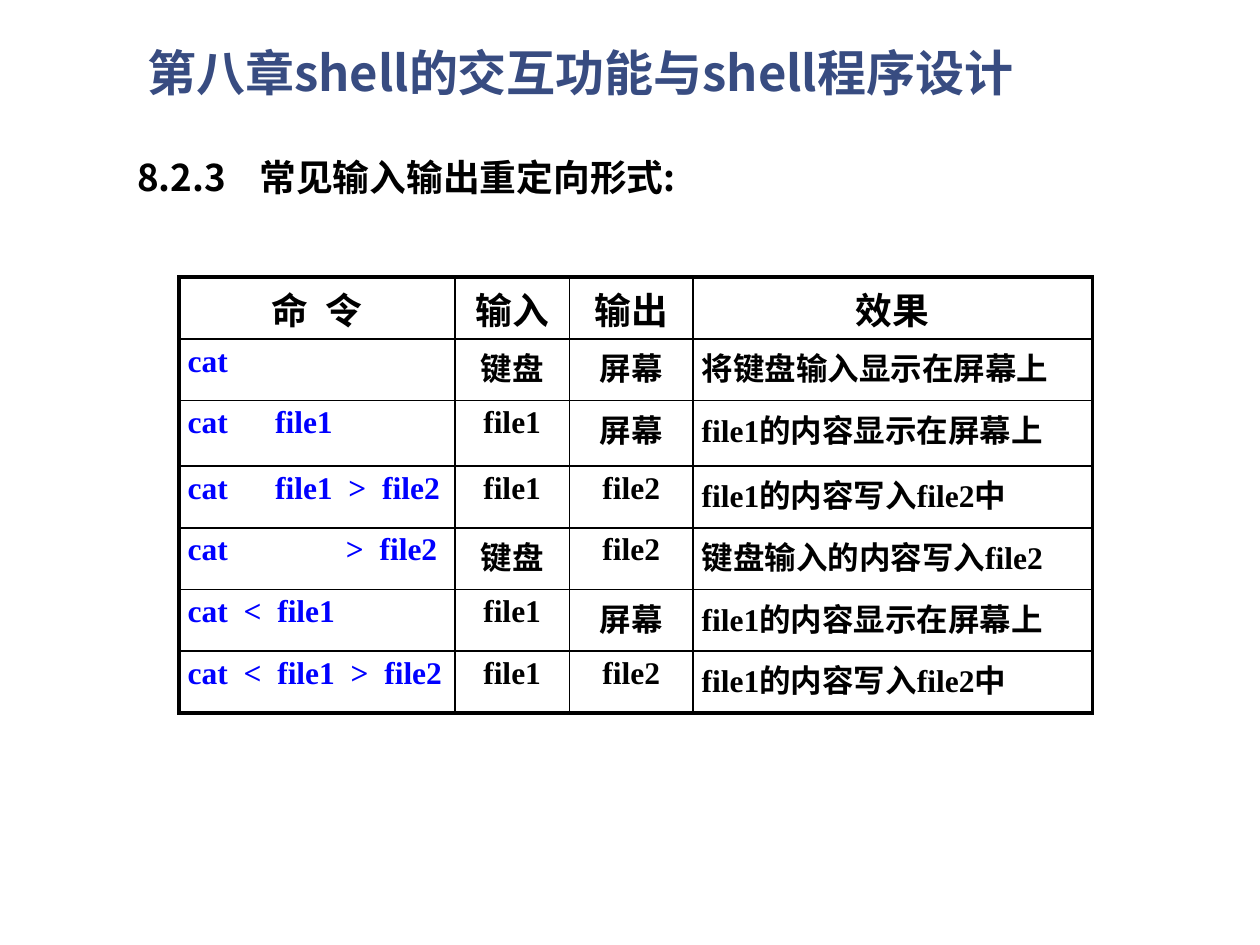
import dataclasses

import lxml.etree
import pptx
import pptx.dml.color
import pptx.enum.text
import pptx.oxml.ns
import pptx.util

Inches = pptx.util.Inches
ALIGN = pptx.enum.text.PP_ALIGN
ANCHOR = pptx.enum.text.MSO_ANCHOR


@dataclasses.dataclass(frozen=True)
class Theme:
    sans: str = "Noto Sans CJK SC"
    serif: str = "Times New Roman"
    title_color: str = "384C81"
    text_color: str = "000000"
    command_color: str = "0000FF"
    title_size: float = 28
    heading_size: float = 21
    cell_size: float = 18
    outer_line: float = 2.25
    inner_line: float = 1


class SlideBuilder:
    def __init__(self, deck, theme):
        self.theme = theme
        self.slide = deck.slides.add_slide(deck.slide_layouts[5])

    def format_runs(self, para, latin, size, color):
        """Style the runs, with the sans font for Chinese characters."""
        for span in para.runs:
            font = span.font
            font.name, font.size, font.bold = latin, pptx.util.Pt(size), True
            font.color.rgb = pptx.dml.color.RGBColor.from_string(color)
            east_asian = lxml.etree.Element(pptx.oxml.ns.qn("a:ea"), typeface=self.theme.sans)
            font._element.find(pptx.oxml.ns.qn("a:latin")).addnext(east_asian)

    def title(self, text, left, top, width, height):
        box = self.slide.shapes.title
        box.left, box.top, box.width, box.height = map(Inches, (left, top, width, height))
        frame = box.text_frame
        frame.text = text
        frame.auto_size = pptx.enum.text.MSO_AUTO_SIZE.NONE
        frame.vertical_anchor = ANCHOR.MIDDLE
        frame.margin_top = frame.margin_bottom = 0
        para = frame.paragraphs[0]
        para.alignment, para.line_spacing = ALIGN.LEFT, 0.9
        self.format_runs(para, self.theme.sans, self.theme.title_size, self.theme.title_color)

    def heading(self, number, text, left, top, width, height):
        """Add a numbered heading whose text starts at a hanging indent."""
        box = self.slide.shapes.add_textbox(*map(Inches, (left, top, width, height)))
        frame = box.text_frame
        frame.word_wrap = True
        frame.text = f"{number}\t{text}"
        para = frame.paragraphs[0]
        properties = para._p.get_or_add_pPr()
        properties.set("marL", str(Inches(1.31)))
        properties.set("indent", str(Inches(-0.97)))
        para.line_spacing = 0.8
        self.format_runs(para, self.theme.sans, self.theme.heading_size, self.theme.text_color)

    def cell_borders(self, cell, widths):
        """Draw the left, right, top and bottom lines, in that order."""
        properties = cell._tc.get_or_add_tcPr()
        for index, (side, width) in enumerate(zip("LRTB", widths)):
            line = lxml.etree.Element(pptx.oxml.ns.qn(f"a:ln{side}"), w=str(pptx.util.Pt(width)))
            fill = lxml.etree.SubElement(line, pptx.oxml.ns.qn("a:solidFill"))
            lxml.etree.SubElement(fill, pptx.oxml.ns.qn("a:srgbClr"), val=self.theme.text_color)
            properties.insert(index, line)

    def cell(self, cell, text, size, color, alignment):
        cell.fill.background()
        cell.margin_left = cell.margin_right = Inches(0.07)
        cell.margin_top = cell.margin_bottom = Inches(0.04)
        cell.text_frame.text = text
        para = cell.text_frame.paragraphs[0]
        para.alignment = alignment
        self.format_runs(para, self.theme.serif, size, color)

    def table(self, rows, left, top, column_widths, row_heights):
        theme = self.theme
        frame = self.slide.shapes.add_table(
            len(rows), len(column_widths), Inches(left), Inches(top),
            Inches(sum(column_widths)), Inches(sum(row_heights)))
        table = frame.table
        table.first_row = table.horz_banding = False
        for column, width in zip(table.columns, column_widths):
            column.width = Inches(width)
        for row, height in zip(table.rows, row_heights):
            row.height = Inches(height)
        last_row, last_column = len(rows) - 1, len(column_widths) - 1
        for r, row in enumerate(rows):
            for c, text in enumerate(row):
                header = r == 0
                centred = header or 0 < c < last_column
                cell = table.cell(r, c)
                self.cell(
                    cell, text,
                    theme.heading_size if header else theme.cell_size,
                    theme.command_color if c == 0 and not header else theme.text_color,
                    ALIGN.CENTER if centred else ALIGN.LEFT)
                on_edge = (c == 0, c == last_column, r == 0, r == last_row)
                self.cell_borders(
                    cell, [theme.outer_line if edge else theme.inner_line for edge in on_edge])


REDIRECTIONS = [
    ("命  令", "输入", "输出", "效果"),
    ("cat", "键盘", "屏幕", "将键盘输入显示在屏幕上"),
    ("cat      file1", "file1", "屏幕", "file1的内容显示在屏幕上"),
    ("cat      file1  >  file2", "file1", "file2", "file1的内容写入file2中"),
    ("cat               >  file2", "键盘", "file2", "键盘输入的内容写入file2"),
    ("cat  <  file1", "file1", "屏幕", "file1的内容显示在屏幕上"),
    ("cat  <  file1  >  file2", "file1", "file2", "file1的内容写入file2中"),
]


def main():
    deck = pptx.Presentation()
    deck.slide_width, deck.slide_height = Inches(10), Inches(7.5)
    builder = SlideBuilder(deck, Theme())
    builder.title("第八章shell的交互功能与shell程序设计", 1.07, 0.36, 7.64, 0.48)
    builder.heading("8.2.3", "常见输入输出重定向形式:", 0.65, 1.25, 9.09, 0.5)
    row_heights = [0.49] * len(REDIRECTIONS)
    row_heights[2] = 0.52
    builder.table(REDIRECTIONS, 1.42, 2.2, (2.19, 0.91, 0.98, 3.17), row_heights)
    deck.save("out.pptx")


if __name__ == "__main__":
    main()
